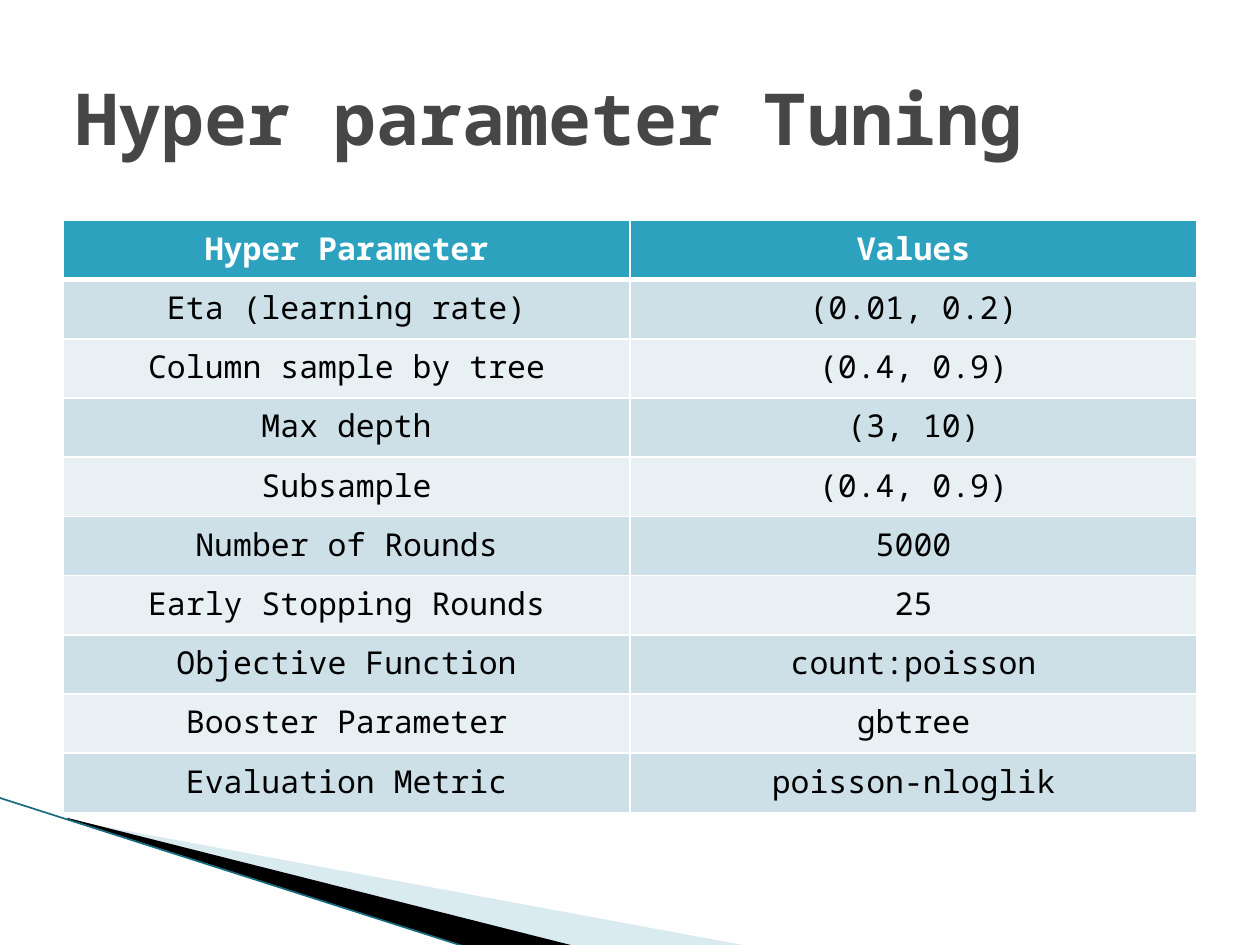
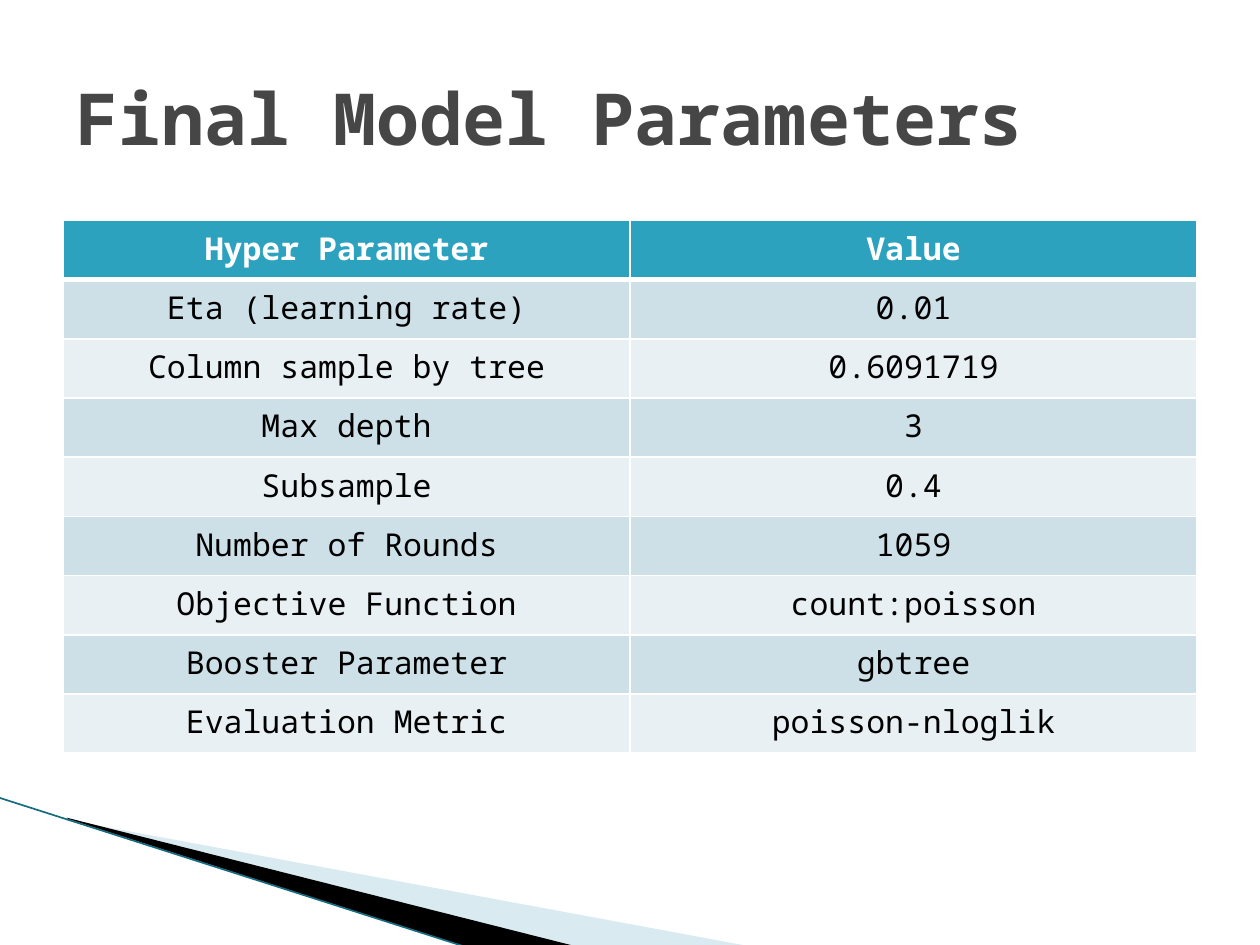
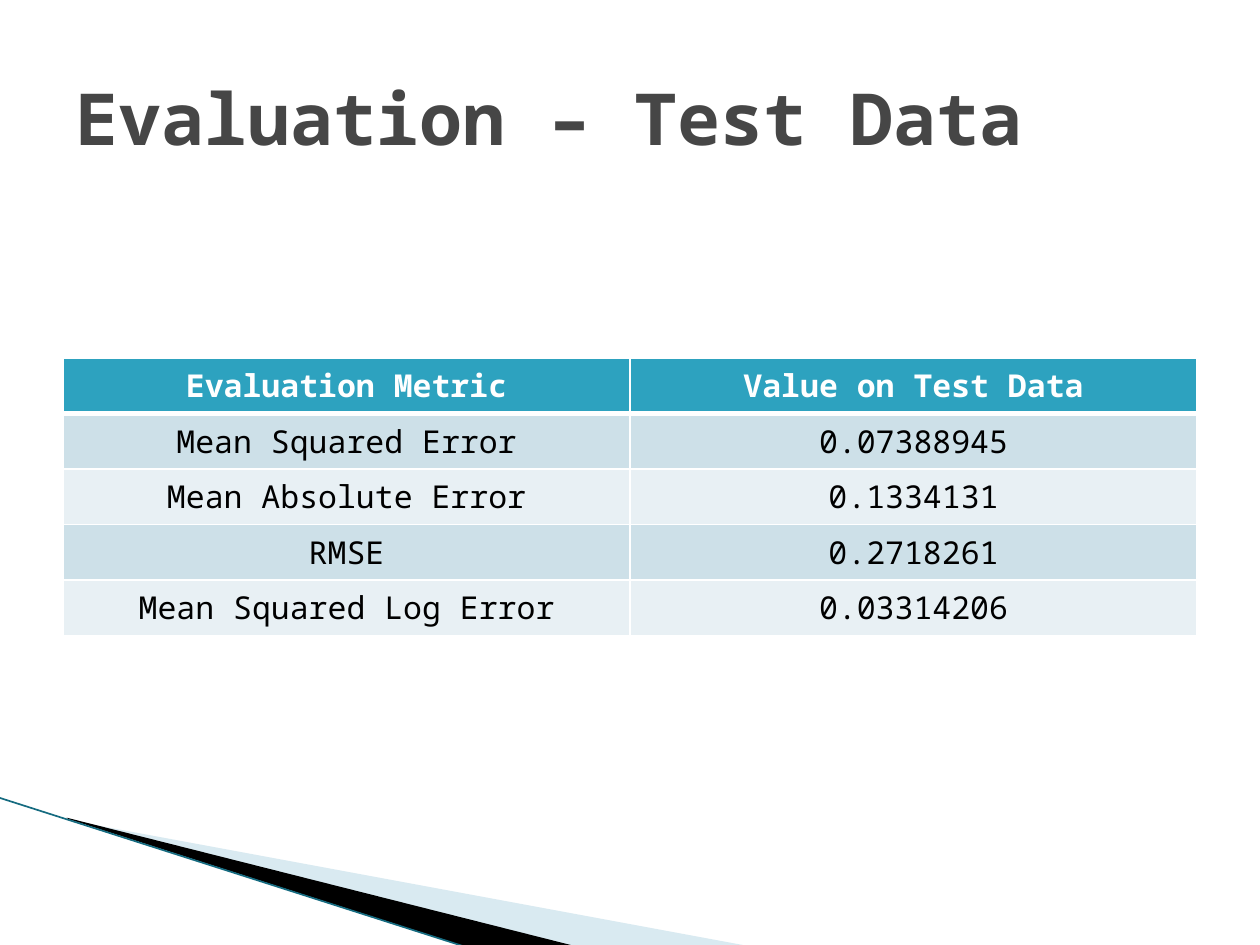
"""Build three slides on model tuning and evaluation, each with a title and a table."""
import pptx
import pptx.dml.color
import pptx.enum.text
import pptx.oxml
import pptx.oxml.ns
import pptx.util

RGB = pptx.dml.color.RGBColor
ALIGN = pptx.enum.text.PP_ALIGN
PX = 9144
WIDE, HIGH = 1000, 750
EDGE = 50
FONT = "Noto Sans Mono"

WHITE = RGB(0xFF, 0xFF, 0xFF)
BLACK = RGB(0x00, 0x00, 0x00)
GREY = RGB(0x46, 0x46, 0x46)
TEAL = RGB(0x2D, 0xA2, 0xBF)
DEEP = RGB(0x15, 0x6B, 0x80)
SKY = RGB(0xA0, 0xCB, 0xDC)
BANDS = (RGB(0xE8, 0xF0, 0xF4), RGB(0xCD, 0xE0, 0xE8))

WEDGES = [
    (SKY, 40, (78, 547, 416, 158), [(55, 651), (595, 751), (456, 751), (55, 650)]),
    (BLACK, 100, (-6, 633, 416, 92), [(53, 649), (457, 751), (372, 752), (54, 650)]),
]
GOAL = [
    ("Objective Function", "count:poisson"),
    ("Booster Parameter", "gbtree"),
    ("Evaluation Metric", "poisson-nloglik"),
]
PAGES = [
    ("Hyper parameter Tuning", 175, 47, [
        ("Hyper Parameter", "Values"),
        ("Eta (learning rate)", "(0.01, 0.2)"),
        ("Column sample by tree", "(0.4, 0.9)"),
        ("Max depth", "(3, 10)"),
        ("Subsample", "(0.4, 0.9)"),
        ("Number of Rounds", "5000"),
        ("Early Stopping Rounds", "25"),
        *GOAL,
    ]),
    ("Final Model Parameters", 175, 47, [
        ("Hyper Parameter", "Value"),
        ("Eta (learning rate)", "0.01"),
        ("Column sample by tree", "0.6091719"),
        ("Max depth", "3"),
        ("Subsample", "0.4"),
        ("Number of Rounds", "1059"),
        *GOAL,
    ]),
    ("Evaluation – Test Data", 284, 44, [
        ("Evaluation Metric", "Value on Test Data"),
        ("Mean Squared Error", "0.07388945"),
        ("Mean Absolute Error", "0.1334131"),
        ("RMSE", "0.2718261"),
        ("Mean Squared Log Error", "0.03314206"),
    ]),
]


def write(frame, text, size=18, color=BLACK, bold=False, align=ALIGN.CENTER):
    para = frame.paragraphs[0]
    para.alignment = align
    run = para.add_run()
    run.text = text
    run.font.name = FONT
    run.font.size = pptx.util.Pt(size)
    run.font.bold = bold
    run.font.color.rgb = color


def border(cell, sides):
    props = cell._tc.get_or_add_tcPr()
    for spot, (side, width) in enumerate(sides.items()):
        props.insert(spot, pptx.oxml.parse_xml(
            f'<a:ln{side} {pptx.oxml.ns.nsdecls("a")} w="{pptx.util.Pt(width)}">'
            f'<a:solidFill><a:srgbClr val="{WHITE}"/></a:solidFill></a:ln{side}>'))


deck = pptx.Presentation()
deck.slide_width = WIDE * PX
deck.slide_height = HIGH * PX

for title, top, step, rows in PAGES:
    slide = deck.slides.add_slide(deck.slide_layouts[6])
    shapes = slide.shapes

    for color, alpha, area, points in WEDGES:
        pen = shapes.build_freeform(*points[0], scale=PX)
        pen.add_line_segments(points[1:])
        wedge = pen.convert_to_shape()
        wedge.shadow.inherit = False
        wedge.line.fill.background()
        wedge.fill.solid()
        wedge.fill.fore_color.rgb = color
        props = wedge._element.spPr
        props.find(".//" + pptx.oxml.ns.qn("a:srgbClr")).append(pptx.oxml.parse_xml(
            f'<a:alpha {pptx.oxml.ns.nsdecls("a")} val="{alpha * 1000}"/>'))

        left, high, width, height = area
        wedge.left, wedge.top = left * PX, high * PX
        wedge.width, wedge.height = width * PX, height * PX
        route = props.find(".//" + pptx.oxml.ns.qn("a:path"))
        route.set("w", str(width))
        route.set("h", str(height))
        for spot, (x, y) in zip(route.iter(pptx.oxml.ns.qn("a:pt")), points):
            spot.set("x", str(x - left))
            spot.set("y", str(y - high))

    line = shapes.add_connector(1, -1 * PX, 633 * PX, 371 * PX, 752 * PX)
    line.line.color.rgb = DEEP
    line.line.width = pptx.util.Pt(0.95)
    line._element.spPr.append(pptx.oxml.parse_xml(
        f'<a:effectLst {pptx.oxml.ns.nsdecls("a")}/>'))

    span = WIDE - 2 * EDGE
    grid = shapes.add_table(len(rows), 2, EDGE * PX, top * PX,
                            span * PX, len(rows) * step * PX).table
    for i, row in enumerate(rows):
        head = i == 0
        for j, text in enumerate(row):
            cell = grid.cell(i, j)
            cell.fill.solid()
            cell.fill.fore_color.rgb = TEAL if head else BANDS[i % 2]
            write(cell.text_frame, text, color=WHITE if head else BLACK, bold=head)
            border(cell, {"L": 1, "R": 1, "T": 3 if i == 1 else 1, "B": 3 if head else 1})

    box = shapes.add_textbox(EDGE * PX, 30 * PX, span * PX, 125 * PX)
    box.text_frame.word_wrap = True
    box.text_frame.vertical_anchor = pptx.enum.text.MSO_ANCHOR.MIDDLE
    write(box.text_frame, title, size=41, color=GREY, bold=True, align=ALIGN.LEFT)

deck.save("out.pptx")
